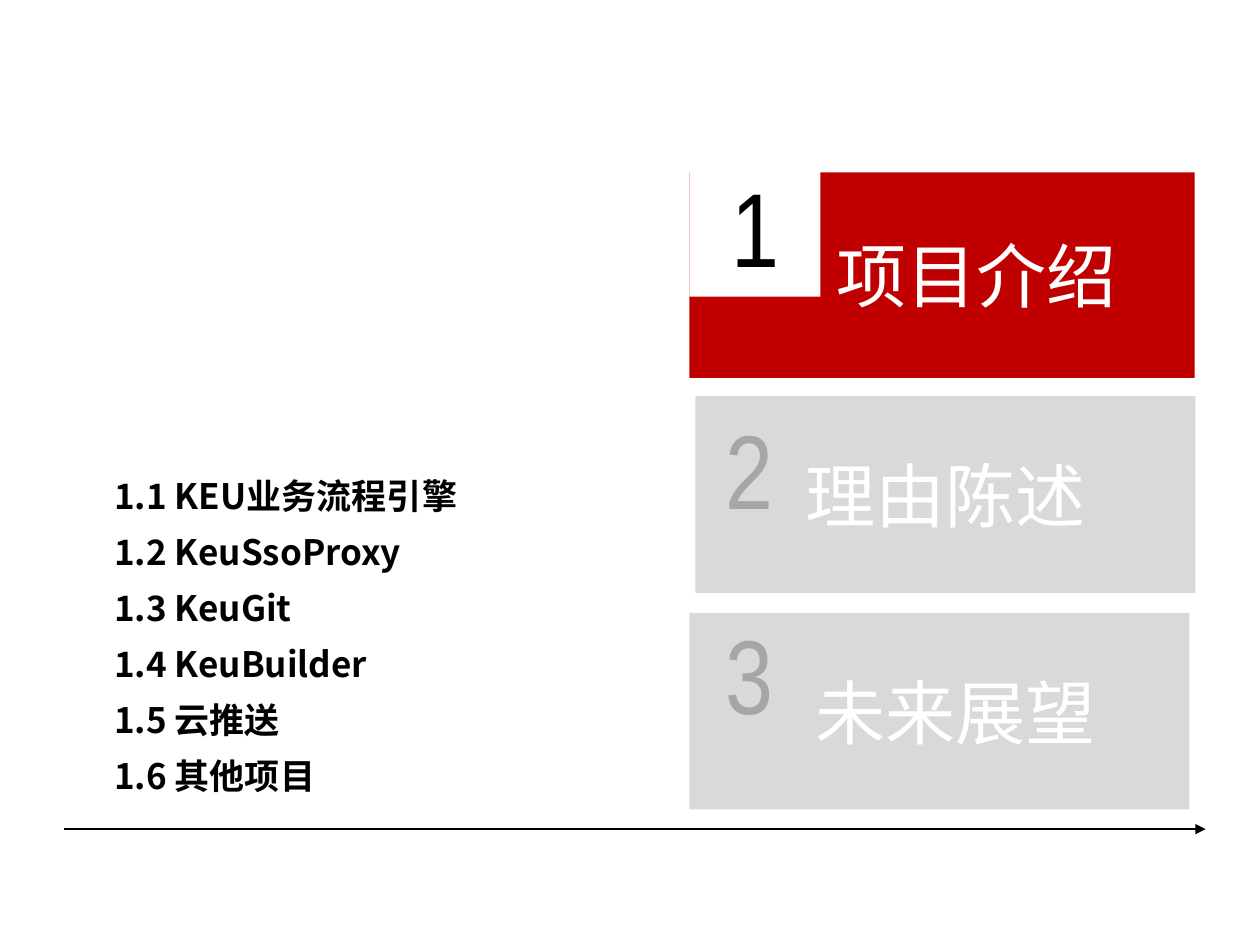
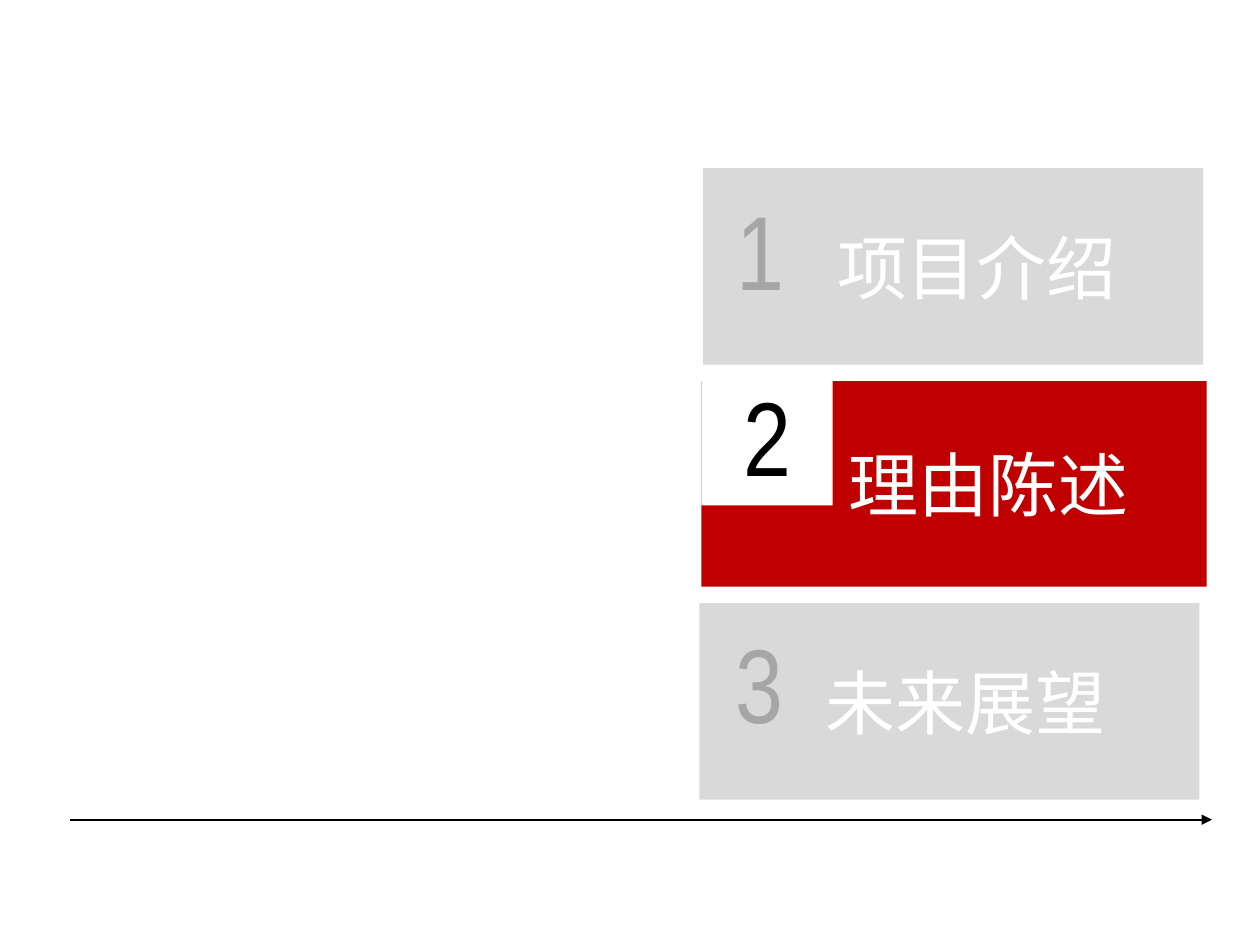
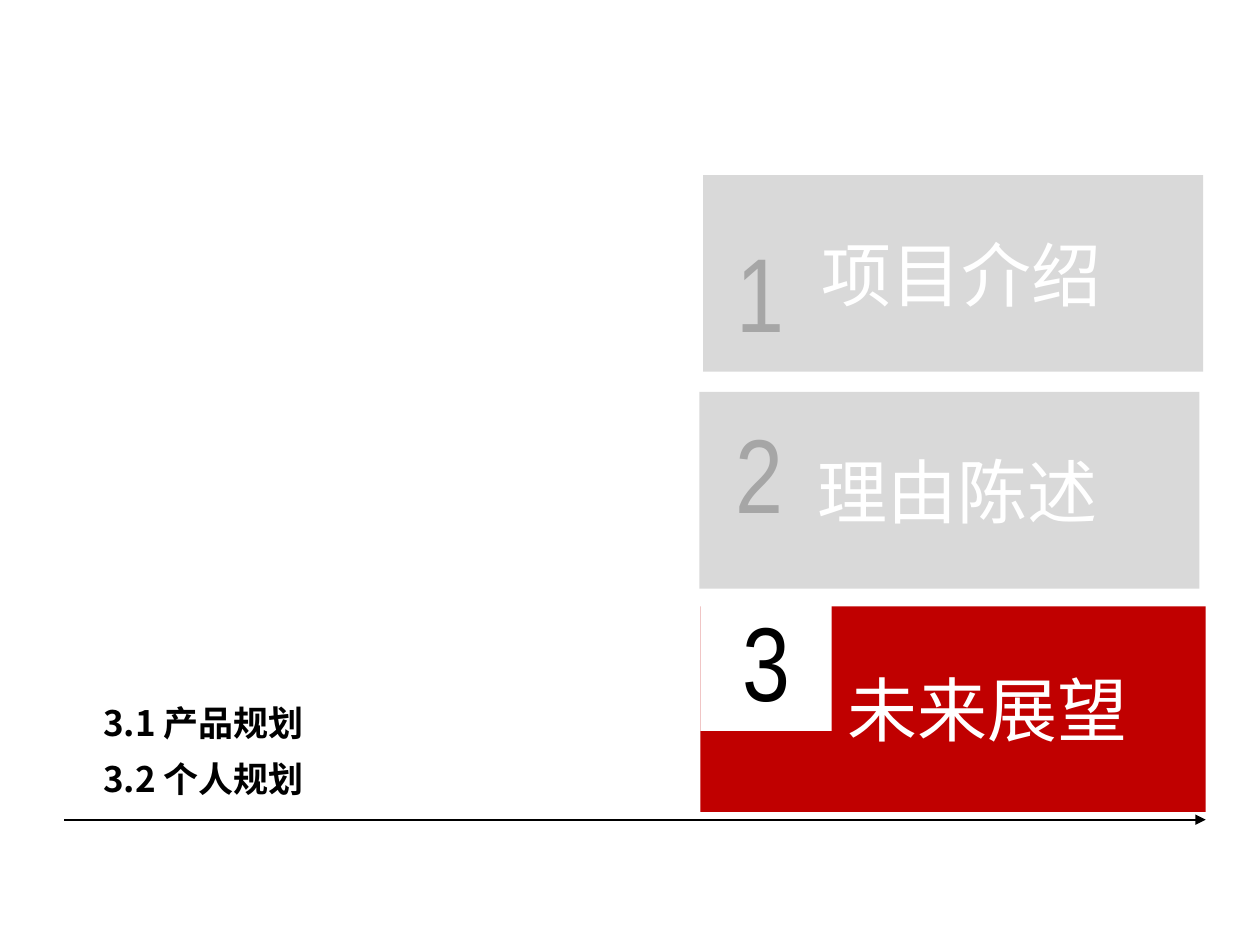
from dataclasses import dataclass

from pptx import Presentation
from pptx.dml.color import RGBColor
from pptx.enum.shapes import MSO_CONNECTOR, MSO_SHAPE
from pptx.enum.text import MSO_ANCHOR, MSO_AUTO_SIZE, PP_ALIGN
from pptx.oxml.ns import qn
from pptx.shapes.autoshape import Shape
from pptx.slide import Slide
from pptx.util import Pt
from lxml.etree import SubElement

RED = RGBColor(0xC0, 0x00, 0x00)
WHITE = RGBColor(0xFF, 0xFF, 0xFF)
BLACK = RGBColor(0x00, 0x00, 0x00)
PALE_GREY = RGBColor(0xD9, 0xD9, 0xD9)
MID_GREY = RGBColor(0xA6, 0xA6, 0xA6)

CJK_FONT = "Noto Sans CJK SC"
NUMBER_FONT = "Arial Narrow"
MUTED_FONT = "Calibri"

SECTIONS = ("项目介绍", "理由陈述", "未来展望")
INSET = 7.2
ARROW_LENGTH = 652.3


@dataclass(frozen=True)
class Card:
    left: float
    top: float
    number_left: float = 0
    number_top: float = 0
    title_shift: float = 0
    font: str = MUTED_FONT


@dataclass(frozen=True)
class Topics:
    left: float
    top: float
    height: float
    lines: tuple[str, ...]


@dataclass(frozen=True)
class SectionPage:
    active: int
    arrow_left: float
    arrow_top: float
    cards: tuple[Card, Card, Card]
    topics: Topics | None = None


PAGES = (
    SectionPage(
        1, 36.7, 473.8,
        (Card(393.9, 98.6),
         Card(397.4, 226.4, 10, 1.2),
         Card(393.9, 350.2, 13.6, -5.2, 18)),
        Topics(30.2, 267.8, 200.9, (
            "1.1 KEU业务流程引擎", "1.2 KeuSsoProxy", "1.3 KeuGit",
            "1.4 KeuBuilder", "1.5 云推送", "1.6 其他项目")),
    ),
    SectionPage(
        2, 40.3, 468.4,
        (Card(401.8, 96, 12.2, 6.3, 27),
         Card(400.8, 217.8),
         Card(399.6, 344.6, 13.6, 5.3, 18)),
    ),
    SectionPage(
        3, 36.7, 468.4,
        (Card(401.8, 100, 12.2, 26.7, 9),
         Card(399.6, 224, 13.6, 5.7, 9, CJK_FONT),
         Card(400.2, 346.6)),
        Topics(23.8, 397.4, 65.5, ("3.1 产品规划", "3.2 个人规划")),
    ),
)


def write(box: Shape, text: str, *, size: float, color: RGBColor,
          font: str = CJK_FONT, bold: bool = False,
          align: PP_ALIGN = PP_ALIGN.LEFT) -> None:
    frame = box.text_frame
    frame.word_wrap = True
    frame.text = text
    for para in frame.paragraphs:
        para.alignment = align
        for span in para.runs:
            span.font.size = Pt(size)
            span.font.name = font
            span.font.bold = bold
            span.font.color.rgb = color
            SubElement(span.font._element, qn("a:ea"), typeface=CJK_FONT)


def add_block(page: Slide, left: float, top: float, width: float,
              height: float, color: RGBColor) -> Shape:
    block = page.shapes.add_shape(
        MSO_SHAPE.RECTANGLE, Pt(left), Pt(top), Pt(width), Pt(height))
    block.shadow.inherit = False
    block.fill.solid()
    block.fill.fore_color.rgb = color
    block.line.fill.background()
    return block


def add_text(page: Slide, left: float, top: float, width: float,
             height: float, text: str, **style) -> Shape:
    box = page.shapes.add_textbox(Pt(left), Pt(top), Pt(width), Pt(height))
    write(box, text, **style)
    box.text_frame.auto_size = MSO_AUTO_SIZE.SHAPE_TO_FIT_TEXT
    return box


def add_number(page: Slide, left: float, top: float, number: int,
               color: RGBColor) -> None:
    add_text(page, left, top, 48, 80, str(number),
             size=60, color=color, font=NUMBER_FONT)


def add_active_card(page: Slide, card: Card, number: int, title: str) -> None:
    add_block(page, card.left, card.top, 288.7, 117.4, RED)
    add_block(page, card.left, card.top - 2.4, 75, 73.4, WHITE)
    add_text(page, card.left + 77, card.top + 30.8, 192.2, 55.4, title,
             size=40, color=WHITE)
    add_number(page, card.left + 16.9, card.top - 9.2, number, BLACK)


def add_muted_card(page: Slide, card: Card, number: int, title: str) -> None:
    block = add_block(page, card.left, card.top, 285.8, 112.4, PALE_GREY)
    write(block, title, size=40, color=WHITE, font=card.font,
          align=PP_ALIGN.CENTER)
    block.text_frame.vertical_anchor = MSO_ANCHOR.MIDDLE
    block.text_frame.margin_left = Pt(INSET + card.title_shift)
    add_number(page, card.left + card.number_left,
               card.top + card.number_top, number, MID_GREY)


def add_topics(page: Slide, topics: Topics) -> None:
    box = add_text(page, topics.left, topics.top, 378, topics.height,
                   "\n".join(topics.lines), size=20, color=BLACK, bold=True)
    for para in box.text_frame.paragraphs:
        para.line_spacing = Pt(24)
        para.space_before = para.space_after = Pt(4)
        properties = para._p.get_or_add_pPr()
        properties.set("marL", str(Pt(55.4)))
        properties.set("indent", str(-Pt(27.4)))


def add_arrow(page: Slide, left: float, top: float) -> None:
    arrow = page.shapes.add_connector(
        MSO_CONNECTOR.STRAIGHT, Pt(left), Pt(top),
        Pt(left + ARROW_LENGTH), Pt(top))
    arrow.line.color.rgb = BLACK
    arrow.line.width = Pt(1)
    SubElement(arrow.line._get_or_add_ln(), qn("a:tailEnd"), type="triangle")
    SubElement(arrow._element.spPr, qn("a:effectLst"))


def main() -> None:
    deck = Presentation()
    deck.slide_width, deck.slide_height = Pt(720), Pt(540)
    for section in PAGES:
        page = deck.slides.add_slide(deck.slide_layouts[6])
        add_arrow(page, section.arrow_left, section.arrow_top)
        for number, (title, card) in enumerate(zip(SECTIONS, section.cards), 1):
            draw = add_active_card if number == section.active else add_muted_card
            draw(page, card, number, title)
        if section.topics:
            add_topics(page, section.topics)
    deck.save("out.pptx")


if __name__ == "__main__":
    main()
